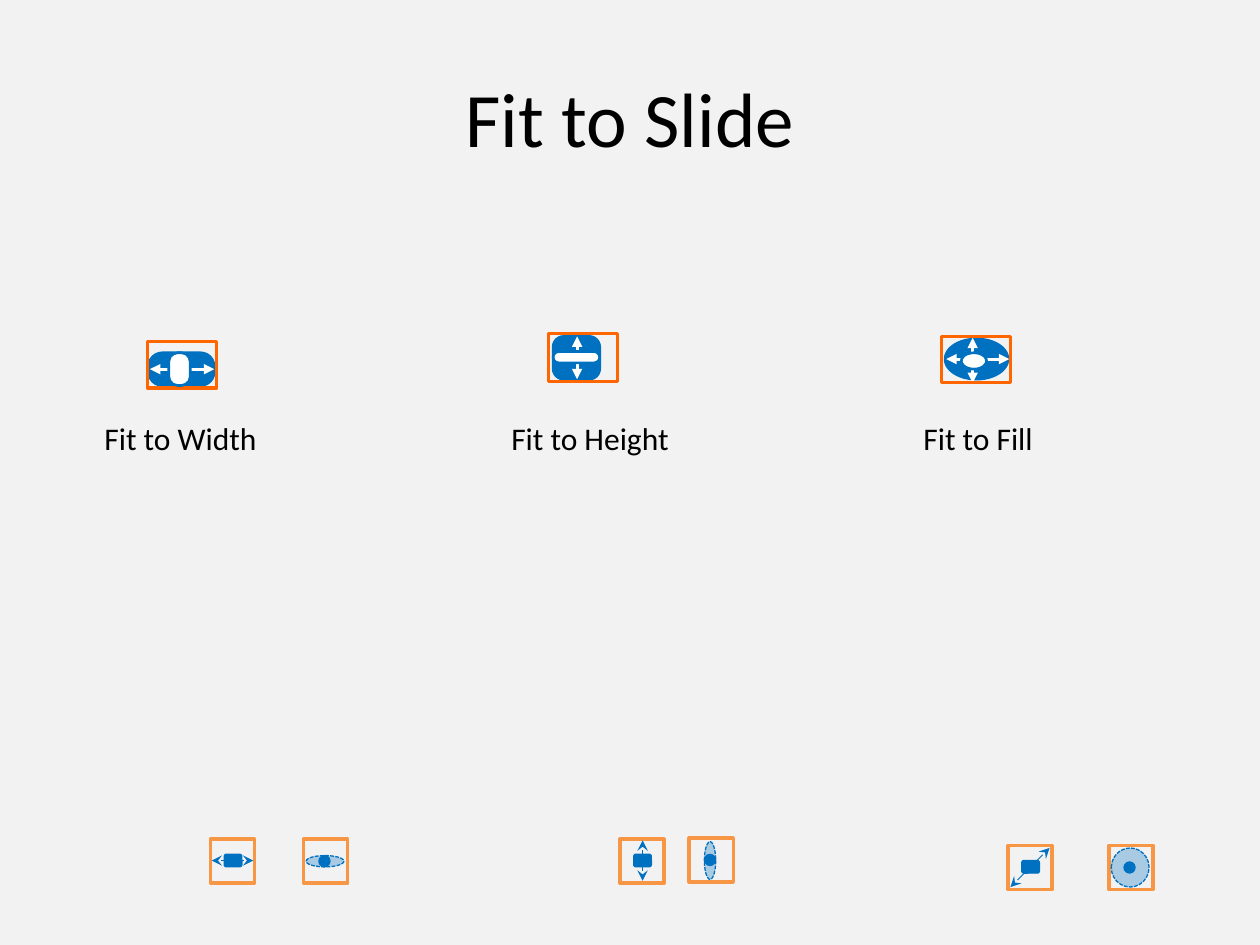
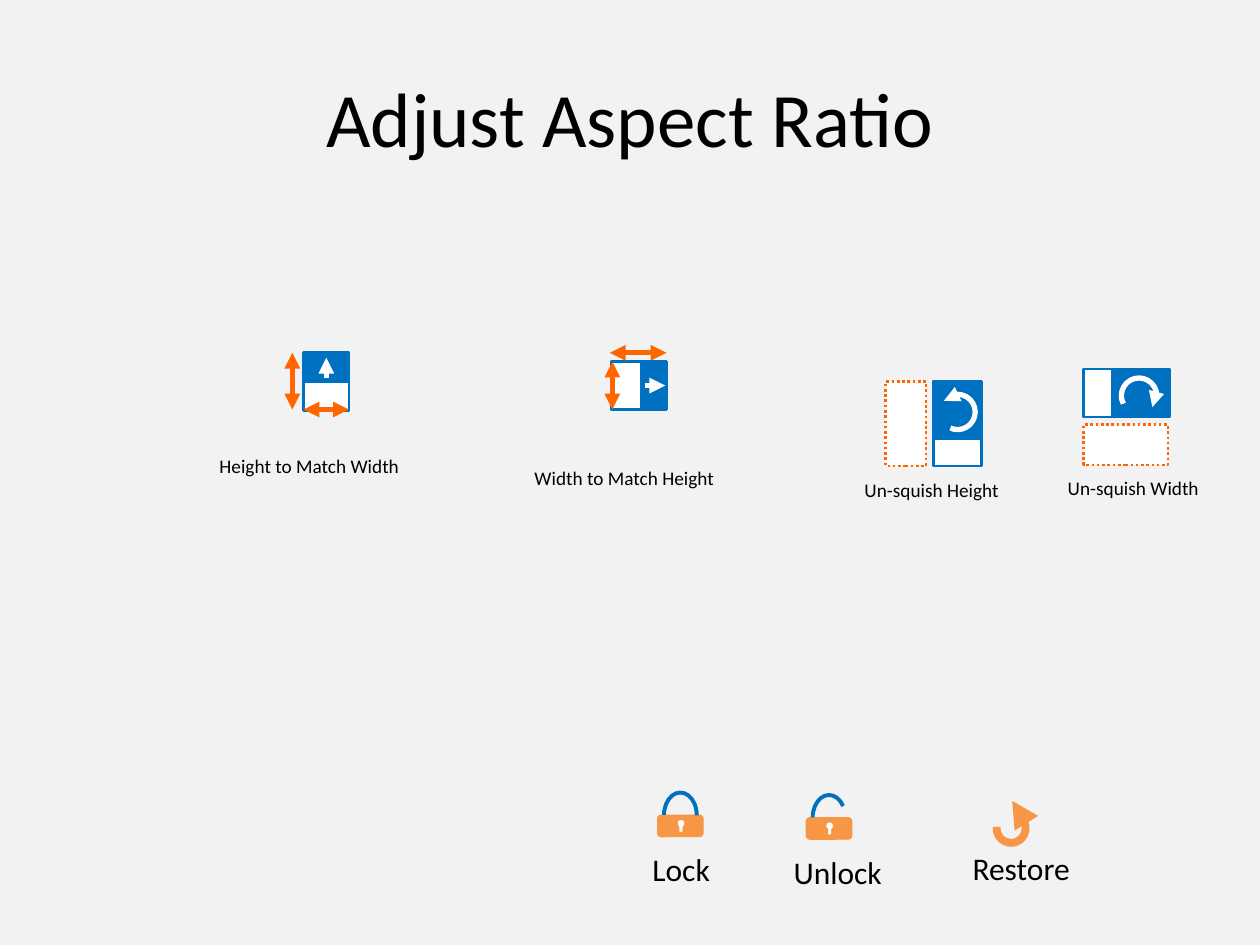
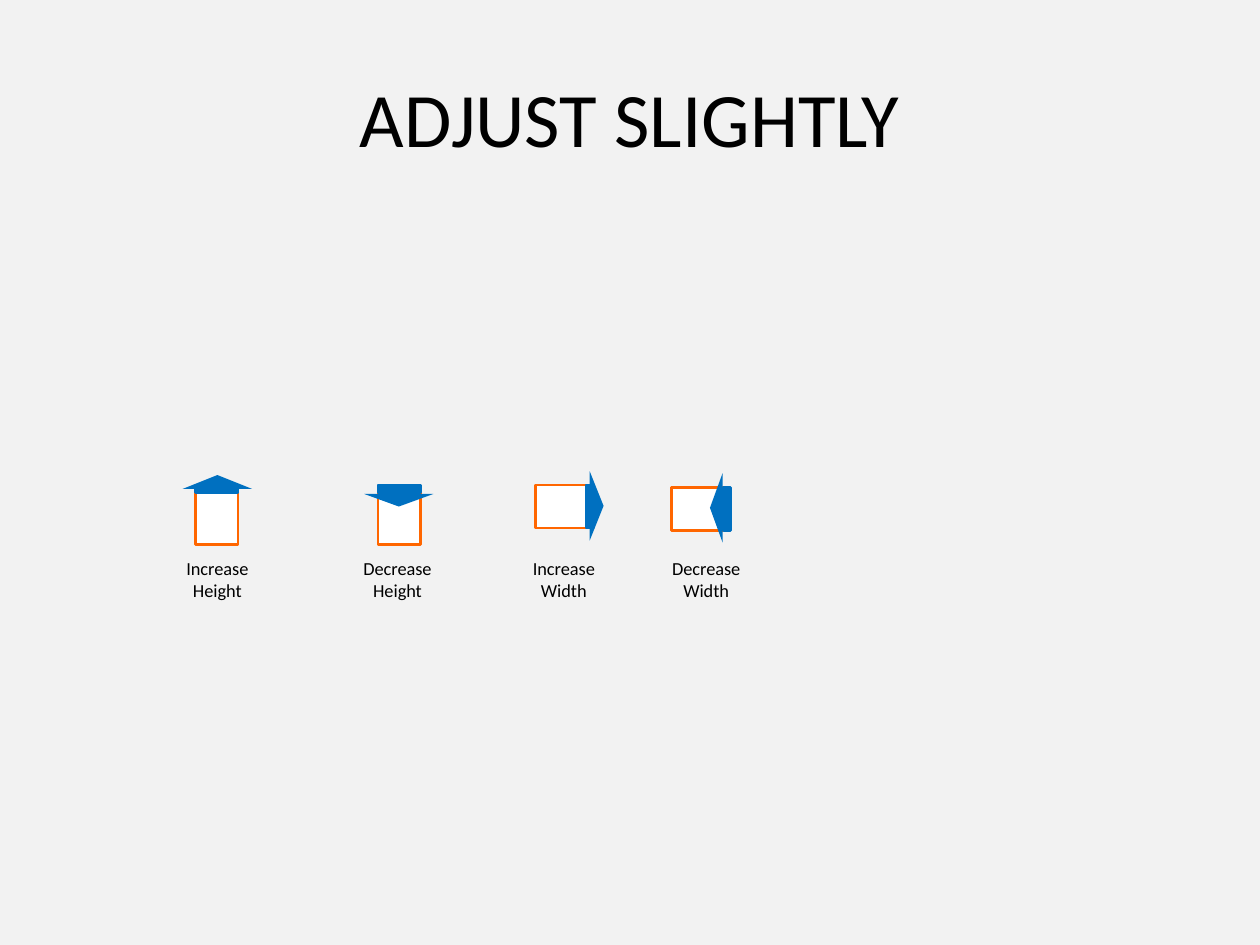
import math

from pptx import Presentation
from pptx.dml.color import RGBColor
from pptx.enum.dml import MSO_LINE
from pptx.enum.shapes import MSO_CONNECTOR, MSO_SHAPE
from pptx.enum.text import MSO_ANCHOR, PP_ALIGN
from pptx.oxml.ns import qn
from pptx.util import Pt
from lxml import etree

PX = 9144  # 100 px to the inch
FONT = "Calibri"
BLUE, ORANGE, PALE_ORANGE = "0070C0", "FF6600", "F79645"
WHITE, BLACK, PAPER = "FFFFFF", "000000", "F2F2F2"
RECT, ROUND, OVAL = MSO_SHAPE.RECTANGLE, MSO_SHAPE.ROUNDED_RECTANGLE, MSO_SHAPE.OVAL
ARC, TRIANGLE, EXTRACT = MSO_SHAPE.ARC, MSO_SHAPE.ISOSCELES_TRIANGLE, MSO_SHAPE.FLOWCHART_EXTRACT
STRAIGHT = MSO_CONNECTOR.STRAIGHT
DOTS, DASHES = MSO_LINE.ROUND_DOT, MSO_LINE.SQUARE_DOT
LEFT, CENTER = PP_ALIGN.LEFT, PP_ALIGN.CENTER
TOP, MIDDLE = MSO_ANCHOR.TOP, MSO_ANCHOR.MIDDLE
rgb = RGBColor.from_string


def add_text(slide, text, box, size=18, align=LEFT, anchor=TOP, wrap=False):
    frame = slide.shapes.add_textbox(*(n * PX for n in box)).text_frame
    frame.word_wrap = wrap
    frame.vertical_anchor = anchor
    paragraph = frame.paragraphs[0]
    paragraph.text = text
    paragraph.alignment = align
    paragraph.font.name = FONT
    paragraph.font.size = Pt(size)
    paragraph.font.color.rgb = rgb(BLACK)


def draw(slide, kind, box, fill=None, line=None, width=1.5, dash=None,
         head=None, tail=None, rot=0, adj=(), alpha=None):
    """Draw a preset shape in (x, y, w, h), or a straight line (x1, y1, x2, y2)."""
    lengths = [n * PX for n in box]
    if kind is STRAIGHT:  # its number equals that of RECT
        item = slide.shapes.add_connector(kind, *lengths)
        etree.SubElement(item._element.spPr, qn("a:effectLst"))
    else:
        item = slide.shapes.add_shape(kind, *lengths)
        item.shadow.inherit = False
        item.rotation = rot
        for index, value in enumerate(adj):
            item.adjustments[index] = value
        if fill:
            item.fill.solid()
            item.fill.fore_color.rgb = rgb(fill)
        else:
            item.fill.background()
    properties = item._element.spPr
    if alpha:
        tint = properties.find(qn("a:solidFill")).find(qn("a:srgbClr"))
        etree.SubElement(tint, qn("a:alpha"), val=str(alpha * 1000))
    if not line:
        item.line.fill.background()
        return
    item.line.color.rgb = rgb(line)
    item.line.width = Pt(width)
    if dash:
        item.line.dash_style = dash
    for tag, arrow in (("a:headEnd", head), ("a:tailEnd", tail)):
        if arrow:
            etree.SubElement(properties.find(qn("a:ln")), qn(tag), type=arrow)


deck = Presentation()
deck.slide_width, deck.slide_height = 1000 * PX, 750 * PX

# Background and title on every slide
slides = []
for title in ("Fit to Slide", "Adjust Aspect Ratio", "ADJUST SLIGHTLY"):
    slide = deck.slides.add_slide(deck.slide_layouts[6])
    slide.background.fill.solid()
    slide.background.fill.fore_color.rgb = rgb(PAPER)
    add_text(slide, title, (50, 30, 900, 125), size=44, align=CENTER, anchor=MIDDLE, wrap=True)
    slides.append(slide)
fit, ratio, slight = slides
two_way = dict(head="triangle", tail="triangle")

# ---- Fit to Slide ----
for label, x, w in (("Fit to Width", 73, 142), ("Fit to Height", 396, 147), ("Fit to Fill", 723, 108)):
    add_text(fit, label, (x, 328, w, 40))

# Small icons: a block with stealth arrows
for x, y, arrows in (
    (167, 666, [(178, 683, 168, 683), (191, 683, 201, 683)]),
    (492, 666, [(510, 678, 510, 667), (510, 688, 510, 699)]),
    (800, 671, [(817, 689, 833, 673), (817, 689, 802, 704)]),
):
    draw(fit, RECT, (x, y, 35, 35), line=PALE_ORANGE, width=2)
    draw(fit, ROUND, (x + 11, y + 12, 14, 10), BLUE, BLUE, 0.75)
    for arrow in arrows:
        draw(fit, STRAIGHT, arrow, line=BLUE, width=0.55, tail="stealth")

# Small icons: a dot in a pale ellipse
for x, y, halo in (
    (241, 666, (243, 679, 30, 9)),
    (547, 665, (559, 668, 9, 30)),
    (880, 671, (882, 673, 30, 31)),
):
    draw(fit, RECT, (x, y, 35, 35), line=PALE_ORANGE, width=2)
    draw(fit, OVAL, (x + 13, y + 14, 7, 7), BLUE, BLUE, 2)
    draw(fit, OVAL, halo, BLUE, BLUE, 0.75, dash=DASHES, alpha=30)

# Fit to Fill icon
draw(fit, OVAL, (749, 268, 52, 34), BLUE)
for arrow in ((751, 285, 801, 285), (772, 304, 772, 268)):
    draw(fit, STRAIGHT, arrow, line=WHITE, width=1.75, **two_way)
draw(fit, OVAL, (763, 280, 20, 13), WHITE, BLUE)
draw(fit, RECT, (747, 267, 55, 37), line=ORANGE, width=1.75)

# Fit to Height icon
draw(fit, ROUND, (439, 267, 37, 34), BLUE, BLUE, adj=[0.25])
draw(fit, STRAIGHT, (458, 267, 458, 301), line=WHITE, width=1.75, **two_way)
draw(fit, ROUND, (439, 279, 37, 9), WHITE, BLUE, adj=[0.5])
draw(fit, RECT, (435, 265, 55, 38), line=ORANGE, width=1.75)

# Fit to Width icon
draw(fit, ROUND, (118, 280, 52, 26), BLUE, BLUE, adj=[0.42])
draw(fit, STRAIGHT, (119, 293, 170, 293), line=WHITE, width=1.75, **two_way)
draw(fit, RECT, (117, 271, 55, 37), line=ORANGE, width=1.75)
draw(fit, ROUND, (134, 280, 17, 26), WHITE, BLUE, adj=[0.41])

# ---- Adjust Aspect Ratio ----
for label, box in (
    ("Lock", (508, 670, 66, 40)),
    ("Unlock", (620, 672, 91, 40)),
    ("Restore", (762, 669, 98, 40)),
):
    add_text(ratio, label, box)
for label, box in (
    ("Height to Match Width", (149, 361, 193, 18)),
    ("Width to Match Height", (399, 370, 193, 18)),
    ("Un-squish Height", (666, 380, 147, 18)),
    ("Un-squish Width", (826, 378, 147, 18)),
):
    add_text(ratio, label, box, size=11, align=CENTER, anchor=MIDDLE, wrap=True)

# Padlocks, closed and open: body, shackle, keyhole
for x, y, shackle_end in ((522, 647, 0.21), (640, 649, 192.31)):
    draw(ratio, ROUND, (x, y, 36, 17), PALE_ORANGE, PALE_ORANGE, 0.75)
    draw(ratio, ARC, (x + 5, y - 18, 26, 36), line=BLUE, width=2.25, adj=[108.61, shackle_end])
    center_x, center_y = x + 18.5, y + 6.5
    rim = [(center_x + 2.4 * math.cos(math.radians(angle)),
            center_y + 2.4 * math.sin(math.radians(angle))) for angle in range(115, 426, 10)]
    stem = [(center_x + 1, y + 13), (center_x - 1, y + 13)]
    start, *outline = [(round(px * PX), round(py * PX)) for px, py in rim + stem]
    builder = ratio.shapes.build_freeform(*start)
    builder.add_line_segments(outline)
    keyhole = builder.convert_to_shape()
    keyhole.shadow.inherit = False
    keyhole.fill.solid()
    keyhole.fill.fore_color.rgb = rgb(WHITE)
    keyhole.line.color.rgb = rgb(WHITE)
    keyhole.line.width = Pt(0.25)

# Restore arrow
draw(ratio, ARC, (791, 646, 23, 23), line=PALE_ORANGE, width=4.5, rot=9.6, adj=[188.9, 105.74])
draw(ratio, TRIANGLE, (798, 634, 22, 21), PALE_ORANGE, rot=327.9)

# Un-squish icons: white area, blue area, turning arrow, dotted area
for whole, added, turn, turn_format, squished in (
    ((860, 293, 67, 38), (883, 293, 45, 38), (890, 300, 28, 28),
     dict(adj=[91.6, 24.5], tail="triangle"), (860, 337, 67, 32)),
    ((741, 303, 38, 67), (741, 303, 38, 45), (746, 313, 28, 28),
     dict(adj=[131.52, 68.51], head="triangle"), (703, 303, 32, 67)),
):
    draw(ratio, RECT, whole, WHITE, BLUE)
    draw(ratio, RECT, added, BLUE, BLUE)
    draw(ratio, ARC, turn, line=WHITE, width=3, **turn_format)
    draw(ratio, RECT, squished, WHITE, ORANGE, dash=DOTS)

# Match icons: blue area, white area, fixed side, growth arrow, matched side
for added, base, fixed, growth, matched in (
    ((500, 287, 29, 38), (485, 287, 24, 38),
     (486, 287, 486, 325), (512, 306, 528, 306), (484, 280, 529, 280)),
    ((241, 280, 36, 32), (241, 303, 36, 23),
     (241, 325, 277, 325), (259, 300, 259, 284), (232, 325, 232, 280)),
):
    draw(ratio, RECT, added, BLUE, BLUE)
    draw(ratio, RECT, base, WHITE, BLUE)
    draw(ratio, STRAIGHT, fixed, line=ORANGE, width=3, **two_way)
    draw(ratio, STRAIGHT, growth, line=WHITE, width=3, tail="triangle")
    draw(ratio, STRAIGHT, matched, line=ORANGE, width=3, **two_way)

# ---- ADJUST SLIGHTLY ----
# Increase icons have the arrowhead behind, decrease icons in front
for label, label_x, page, edge, point, rot in (
    ("Increase Height", 127, (155, 391, 34, 41), (155, 385, 34, 6), (145, 377, 55, 11), 0),
    ("Decrease Height", 270, (300, 391, 34, 41), (300, 385, 34, 6), (289, 392, 55, 10), 180),
    ("Increase Width", 402, (425, 385, 41, 34), (465, 385, 6, 34), (446, 396, 55, 11), 90),
    ("Decrease Width", 515, (533, 387, 41, 34), (574, 387, 6, 34), (541, 398, 55, 10), 270),
):
    increase = label.startswith("Increase")
    if increase:
        draw(slight, EXTRACT, point, BLUE, rot=rot)
    draw(slight, RECT, page, WHITE, ORANGE)
    draw(slight, RECT, edge, BLUE, BLUE)
    if not increase:
        draw(slight, EXTRACT, point, BLUE, rot=rot)
    add_text(slight, label, (label_x, 446, 91, 27), size=10.5, align=CENTER, anchor=MIDDLE, wrap=True)

deck.save("out.pptx")
